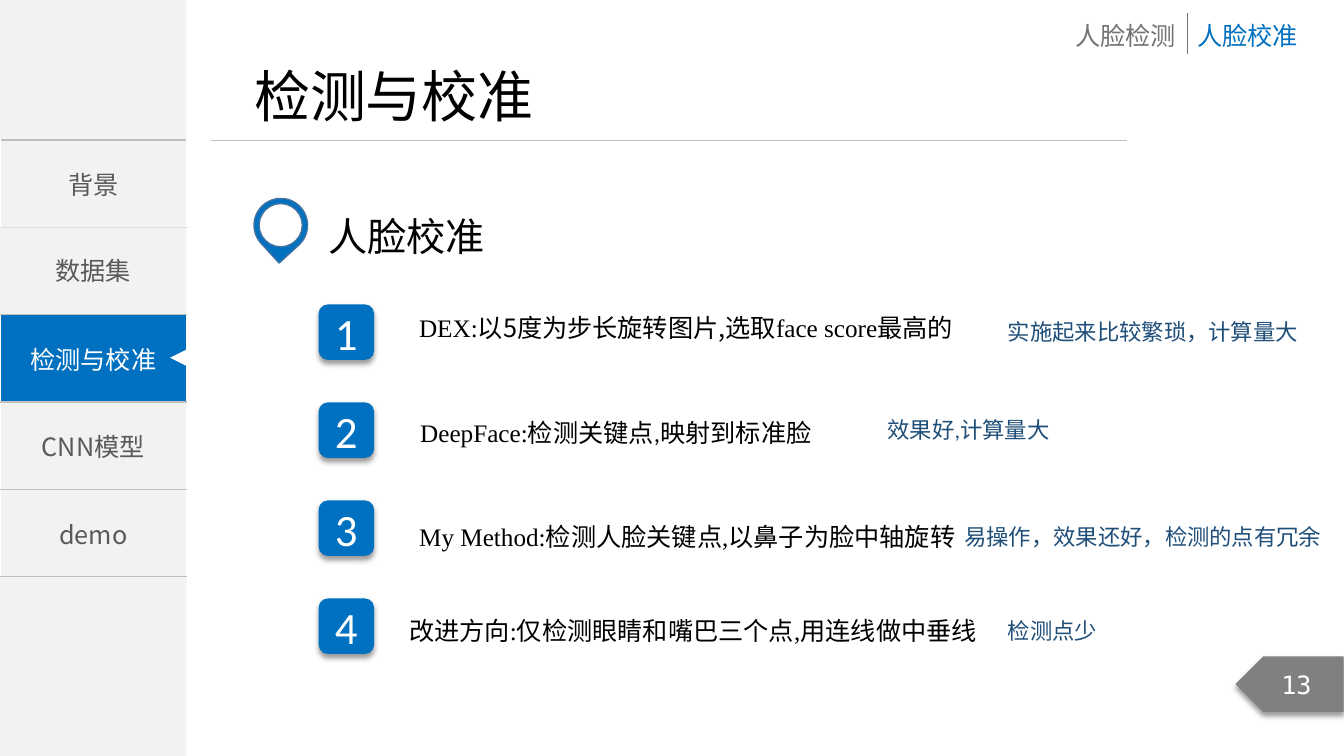
"""Build the face alignment slide of the detection and alignment chapter."""
import pptx
import pptx.chart.data
import pptx.dml.color
import pptx.enum.shapes
import pptx.enum.text
import pptx.oxml
import pptx.oxml.ns
import pptx.util

Cm = pptx.util.Cm
Pt = pptx.util.Pt
RGB = pptx.dml.color.RGBColor
SHAPE = pptx.enum.shapes.MSO_SHAPE
ALIGN = pptx.enum.text.PP_ALIGN
MIDDLE = pptx.enum.text.MSO_ANCHOR.MIDDLE
TOP = pptx.enum.text.MSO_ANCHOR.TOP
FIT = pptx.enum.text.MSO_AUTO_SIZE

BLACK = RGB(0x00, 0x00, 0x00)
WHITE = RGB(0xFF, 0xFF, 0xFF)
PALE = RGB(0xF2, 0xF2, 0xF2)
SILVER = RGB(0xBF, 0xBF, 0xBF)
GRAY = RGB(0x80, 0x80, 0x80)
DARK = RGB(0x59, 0x59, 0x59)
TAUPE = RGB(0x76, 0x71, 0x71)
BLUE = RGB(0x00, 0x70, 0xC0)
NAVY = RGB(0x1F, 0x4E, 0x79)
STEEL = RGB(0x43, 0x73, 0x9E)

HAN = "Noto Sans CJK SC"
TIMES = "Times New Roman"
BODY = "Calibri"
MONO = "DejaVu Sans Mono"
SPACE = pptx.oxml.ns.nsdecls("a")

MENU = ["背景", "", "检测与校准", "CNN模型", "demo"]
ACTIVE = 2
WIDE = 4.7
ROW = 2.2
MENU_TOP = 3.53
BADGE_TOP = 7.67
STEP = 2.47

POINTS = [
    ((10.19, 7.75, 14.2, 1.02),
     [("DEX:", TIMES), ("以5度为步长旋转图片,选取", HAN),
      ("face score", TIMES), ("最高的", HAN)], 0),
    ((10.29, 10.39, 10.46, 1.02),
     [("DeepFace:", TIMES), ("检测关键点,映射到标准脸", BODY)], 0),
    ((9.93, 13, 14.48, 1.02),
     [("My Method:检测人脸关键点,以鼻子为脸中轴旋转", TIMES)], 0.3),
    ((9.78, 15.39, 15.37, 1.02),
     [("改进方向:仅检测眼睛和嘴巴三个点,用连线做中垂线", TIMES)], 0),
]
NOTES = [
    ((25.15, 7.9, 7.87, 0.94), "实施起来比较繁琐，计算量大"),
    ((22.12, 10.36, 6.1, 0.94), "效果好,计算量大"),
    ((24.05, 13.06, 9.8, 0.94), "易操作，效果还好，检测的点有冗余"),
    ((25.15, 15.42, 8.7, 0.94), "检测点少"),
]


def apply(item, form):
    """Set each named value on the item."""
    for name, value in form.items():
        setattr(item, name, value)


def place(box):
    """Turn a box in centimetres into lengths."""
    return [Cm(value) for value in box]


def write(frame, runs, size, color, align=ALIGN.LEFT, indent=0):
    """Fill a frame with one paragraph of (text, font) runs."""
    para = frame.paragraphs[0]
    para.alignment = align
    if indent:
        para._p.get_or_add_pPr().set("marL", str(Cm(indent)))
    for text, face in runs:
        run = para.add_run()
        run.text = text
        apply(run.font, {"size": Pt(size), "name": face, "bold": False})
        run.font.color.rgb = color
        run.font._element.find(pptx.oxml.ns.qn("a:latin")).addnext(
            pptx.oxml.parse_xml(f'<a:ea {SPACE} typeface="{HAN}"/>'))


def label(slide, box, runs, size, color, wrap=True, **look):
    """Add a text box."""
    frame = slide.shapes.add_textbox(*place(box)).text_frame
    apply(frame, {"word_wrap": wrap, "auto_size": FIT.SHAPE_TO_FIT_TEXT})
    write(frame, runs, size, color, **look)


def block(shapes, kind, box, fill, edge=None, turn=0):
    """Add a flat preset shape."""
    shape = shapes.add_shape(kind, *place(box))
    apply(shape, {"rotation": turn})
    shape.shadow.inherit = False
    shape.fill.solid()
    shape.fill.fore_color.rgb = fill
    if edge:
        shape.line.color.rgb = edge
        shape.line.width = Pt(1)
    else:
        shape.line.fill.background()
    return shape


def caption(shape, text, size, face, color):
    """Centre a text in a shape."""
    shape.text_frame.vertical_anchor = MIDDLE
    write(shape.text_frame, [(text, face)], size, color, ALIGN.CENTER)


def shade(shape):
    """Give a shape a soft shadow below it."""
    shape._element.spPr.find(pptx.oxml.ns.qn("a:effectLst")).append(
        pptx.oxml.parse_xml(
            f'<a:outerShdw {SPACE} blurRad="50800" dist="38100" dir="5400000">'
            '<a:srgbClr val="000000"><a:alpha val="40000"/></a:srgbClr>'
            '</a:outerShdw>'))


def rule(slide, start, end, color):
    """Add a thin straight line."""
    line = slide.shapes.add_connector(
        pptx.enum.shapes.MSO_CONNECTOR.STRAIGHT, *place(start + end))
    line.line.color.rgb = color
    line.line.width = Pt(0.5)
    line._element.spPr.append(pptx.oxml.parse_xml(f"<a:effectLst {SPACE}/>"))


def border(cell):
    """Draw the top and bottom edges of a cell."""
    for spot, side in enumerate(("lnT", "lnB")):
        cell._tc.get_or_add_tcPr().insert(spot, pptx.oxml.parse_xml(
            f'<a:{side} {SPACE} w="12700"><a:solidFill>'
            f'<a:srgbClr val="{SILVER}"/></a:solidFill></a:{side}>'))


def menu(slide):
    """Add the side bar with its chapter list."""
    block(slide.shapes, SHAPE.RECTANGLE, (0, 0, WIDE, 19.05), PALE)
    table = slide.shapes.add_table(
        len(MENU), 1, *place((0, MENU_TOP, WIDE, ROW * len(MENU)))).table
    apply(table, {"first_row": False, "horz_banding": False})
    for index, text in enumerate(MENU):
        cell = table.cell(index, 0)
        cell.vertical_anchor = MIDDLE
        if index == ACTIVE:
            cell.fill.solid()
            cell.fill.fore_color.rgb = BLUE
        else:
            cell.fill.background()
        border(cell)
        if text:
            color = WHITE if index == ACTIVE else DARK
            write(cell.text_frame, [(text, HAN)], 18, color, ALIGN.CENTER)
    data = block(slide.shapes, SHAPE.RECTANGLE,
                 (0, MENU_TOP + ROW, WIDE, 2.18), PALE)
    caption(data, "数据集", 18, HAN, DARK)
    block(slide.shapes, SHAPE.ISOSCELES_TRIANGLE,
          (4.29, 8.81, 0.41, 0.41), WHITE, turn=270)


def head(slide):
    """Set the title, its rule and the section tabs."""
    title = slide.shapes.title
    left, top, width, height = place((6.15, 1.42, 7.65, 1.96))
    apply(title, {"left": left, "top": top, "width": width, "height": height})
    apply(title.text_frame, {"word_wrap": False, "vertical_anchor": TOP,
                             "auto_size": FIT.SHAPE_TO_FIT_TEXT})
    write(title.text_frame, [("检测与校准", HAN)], 40, BLACK)
    rule(slide, (5.31, 3.53), (28.4, 3.53), SILVER)
    for left, text, color in ((26.85, "人脸检测", TAUPE),
                              (29.92, "人脸校准", BLUE)):
        label(slide, (left, 0.38, 3.07, 1.02), [(text, BODY)], 18, color, False)
    rule(slide, (29.92, 0.33), (29.92, 1.37), TAUPE)


def topic(slide):
    """Add the map pin and the heading beside it."""
    pin = slide.shapes.add_group_shape().shapes
    block(pin, SHAPE.TEAR, (6.4, 5, 1.35, 1.35), BLUE, STEEL, 137.5)
    block(pin, SHAPE.OVAL, (6.53, 5.13, 1.09, 1.09), WHITE, STEEL)
    label(slide, (8.03, 5.23, 4.5, 1.45), [("人脸校准", BODY)], 28, BLACK, False)


def points(slide):
    """Add the numbered methods and the remark on each."""
    for index, ((box, runs, indent), (spot, note)) in enumerate(
            zip(POINTS, NOTES)):
        badge = block(slide.shapes, SHAPE.ROUNDED_RECTANGLE,
                      (8.03, BADGE_TOP + STEP * index, 1.4, 1.4), BLUE)
        shade(badge)
        caption(badge, str(index + 1), 32, BODY, WHITE)
        label(slide, box, runs, 18, BLACK, align=ALIGN.CENTER, indent=indent)
        label(slide, spot, [(note, BODY)], 16, NAVY)


def page(slide):
    """Add the page number on its tag."""
    tag = block(slide.shapes, SHAPE.PENTAGON, (31.14, 16.54, 2.72, 1.4), GRAY)
    tag._element.spPr.xfrm.set("flipH", "1")
    shade(tag)
    caption(tag, "13", 18, MONO, WHITE)


def main():
    """Build and save the deck."""
    deck = pptx.Presentation()
    apply(deck, {"slide_width": Cm(33.87), "slide_height": Cm(19.05)})
    slide = deck.slides.add_slide(deck.slide_layouts[5])
    for part in (menu, head, topic, points, page):
        part(slide)
    deck.save("out.pptx")


if __name__ == "__main__":
    main()
